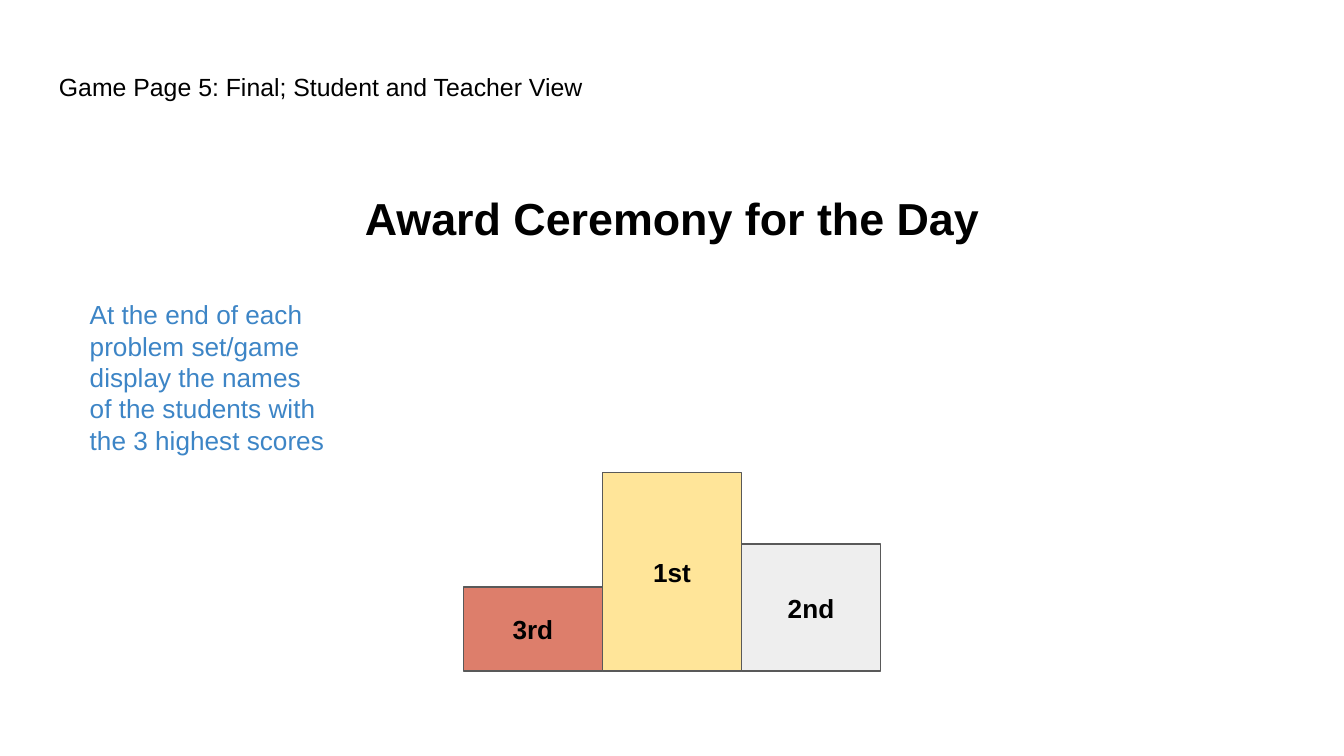
"""Build the award ceremony slide with a three-step winners' podium."""
from pptx import Presentation
from pptx.dml.color import RGBColor
from pptx.enum.shapes import MSO_SHAPE
from pptx.enum.text import MSO_ANCHOR, PP_ALIGN
from pptx.util import Pt

RECTANGLE = MSO_SHAPE.RECTANGLE
TOP, MIDDLE = MSO_ANCHOR.TOP, MSO_ANCHOR.MIDDLE
LEFT, CENTER = PP_ALIGN.LEFT, PP_ALIGN.CENTER

BLACK = RGBColor(0x00, 0x00, 0x00)
GRAY = RGBColor(0x59, 0x59, 0x59)
BLUE = RGBColor(0x3D, 0x85, 0xC6)
BRONZE = RGBColor(0xDD, 0x7E, 0x6B)
GOLD = RGBColor(0xFF, 0xE5, 0x99)
SILVER = RGBColor(0xEE, 0xEE, 0xEE)

SLIDE_WIDTH, SLIDE_HEIGHT = 720, 405
MARGIN = 24.5
CONTENT_WIDTH = SLIDE_WIDTH - 2 * MARGIN
STEP_WIDTH = 74.5
PODIUM_BOTTOM = 359.5
PODIUM_STEPS = [("3rd", 45, BRONZE), ("1st", 106.5, GOLD), ("2nd", 68, SILVER)]


class SlideBuilder:
    font = "Arial"
    inset = 7.2
    line_width = 0.75

    def __init__(self, slide):
        self.slide = slide

    def set_text(self, shape, text, size=14, color=BLACK, bold=False,
                 align=LEFT, anchor=TOP, spacing=1.0):
        frame = shape.text_frame
        frame.word_wrap = True
        frame.vertical_anchor = anchor
        frame.margin_left = frame.margin_right = Pt(self.inset)
        frame.margin_top = frame.margin_bottom = Pt(self.inset)
        paragraph = frame.paragraphs[0]
        paragraph.alignment = align
        paragraph.line_spacing = spacing
        run = paragraph.add_run()
        run.text = text
        run.font.name = self.font
        run.font.size = Pt(size)
        run.font.bold = bold
        run.font.color.rgb = color

    def text_box(self, left, top, width, height, text, **style):
        shape = self.slide.shapes.add_textbox(Pt(left), Pt(top), Pt(width), Pt(height))
        self.set_text(shape, text, **style)

    def block(self, left, top, width, height, fill, text, **style):
        shape = self.slide.shapes.add_shape(
            RECTANGLE, Pt(left), Pt(top), Pt(width), Pt(height))
        shape.shadow.inherit = False
        shape.fill.solid()
        shape.fill.fore_color.rgb = fill
        shape.line.color.rgb = GRAY
        shape.line.width = Pt(self.line_width)
        self.set_text(shape, text, **style)


def main():
    presentation = Presentation()
    presentation.slide_width = Pt(SLIDE_WIDTH)
    presentation.slide_height = Pt(SLIDE_HEIGHT)
    builder = SlideBuilder(presentation.slides.add_slide(presentation.slide_layouts[6]))

    builder.text_box(MARGIN, 35, CONTENT_WIDTH, 45,
                     "Game Page 5: Final; Student and Teacher View",
                     size=13.3, spacing=0.8)
    builder.text_box(MARGIN, 90.75, CONTENT_WIDTH, 269, "Award Ceremony for the Day",
                     size=24, bold=True, align=CENTER, spacing=1.15)

    podium_left = (SLIDE_WIDTH - STEP_WIDTH * len(PODIUM_STEPS)) / 2
    for index, (place, height, fill) in enumerate(PODIUM_STEPS):
        builder.block(podium_left + index * STEP_WIDTH, PODIUM_BOTTOM - height,
                      STEP_WIDTH, height, fill, place,
                      bold=True, align=CENTER, anchor=MIDDLE)

    builder.text_box(41, 152.75, 142, 98.5,
                     "At the end of each problem set/game display the names "
                     "of the students with the 3 highest scores", color=BLUE)
    presentation.save("out.pptx")


if __name__ == "__main__":
    main()
